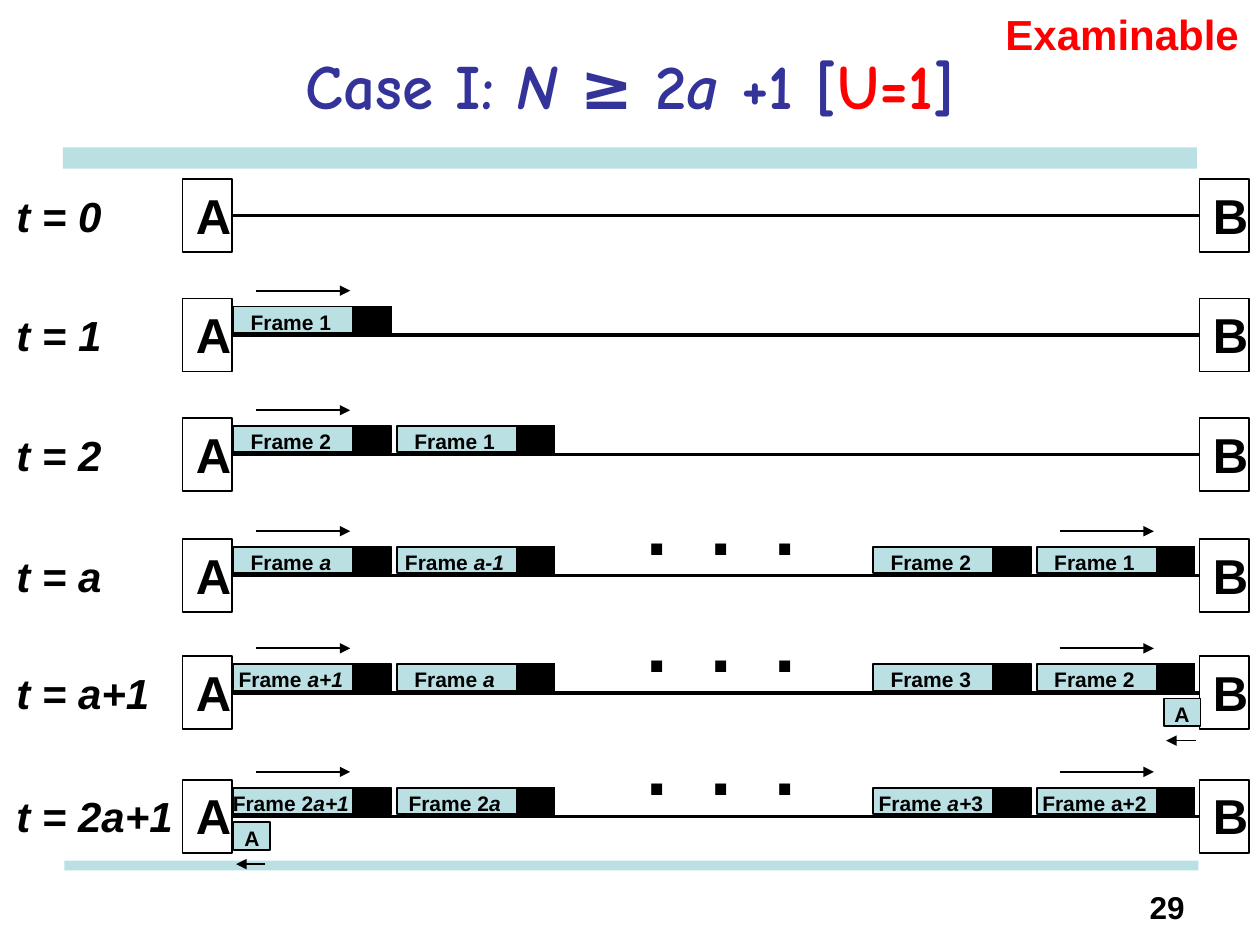
from lxml import etree
from pptx import Presentation
from pptx.dml.color import RGBColor
from pptx.enum.shapes import MSO_CONNECTOR, MSO_SHAPE
from pptx.enum.text import MSO_ANCHOR, PP_ALIGN
from pptx.oxml.ns import qn
from pptx.util import Cm, Pt

RECTANGLE, STRAIGHT = MSO_SHAPE.RECTANGLE, MSO_CONNECTOR.STRAIGHT
TOP, MIDDLE = MSO_ANCHOR.TOP, MSO_ANCHOR.MIDDLE
LEFT, CENTER, RIGHT = PP_ALIGN.LEFT, PP_ALIGN.CENTER, PP_ALIGN.RIGHT

BLACK = RGBColor(0x00, 0x00, 0x00)
RED = RGBColor(0xFF, 0x00, 0x00)
NAVY = RGBColor(0x33, 0x33, 0x99)
PALE_BLUE = RGBColor(0xBB, 0xE0, 0xE3)

# Horizontal layout in cm
NODE_A, NODE_B = 3.68, 24.18
NODE_WIDTH, NODE_HEIGHT = 1, 1.47
SLOTS = [4.7, 8, 17.6, 20.9]
FRAME_WIDTH, FRAME_HEIGHT, HEADER_WIDTH = 3.18, 0.53, 0.76

# Row top, time label, frames by slot (runs of text and italic), left of acknowledgement
ROWS = [
    (3.61, "t = 0", [], None),
    (6.02, "t = 1", [[("Frame 1", False)]], None),
    (8.43, "t = 2", [[("Frame 2", False)], [("Frame 1", False)]], None),
    (10.87, "t = a", [[("Frame ", False), ("a", True)],
                      [("Frame ", False), ("a-1", True)],
                      [("Frame 2", False)], [("Frame 1", False)]], None),
    (13.23, "t = a+1", [[("Frame ", False), ("a+1", True)],
                        [("Frame ", False), ("a", True)],
                        [("Frame 3", False)], [("Frame 2", False)]], 23.46),
    (15.72, "t = 2a+1", [[("Frame 2", False), ("a+1", True)],
                         [("Frame 2", False), ("a", True)],
                         [("Frame ", False), ("a+", True), ("3", False)],
                         [("Frame a+2", False)]], 4.71),
]


def add_runs(paragraph, runs, size, color=BLACK, font_name="Arial"):
    for text, italic in runs:
        run = paragraph.add_run()
        run.text = text
        font = run.font
        font.name, font.size, font.bold, font.italic = font_name, Pt(size), True, italic
        font.color.rgb = color


def fill_text(shape, runs, size, color=BLACK, align=LEFT, anchor=TOP):
    frame = shape.text_frame
    frame.word_wrap = True
    frame.vertical_anchor = anchor
    frame.paragraphs[0].alignment = align
    add_runs(frame.paragraphs[0], runs, size, color)
    return frame


def add_text(slide, left, top, width, height, text, size,
             color=BLACK, align=LEFT, italic=False):
    box = slide.shapes.add_textbox(Cm(left), Cm(top), Cm(width), Cm(height))
    return fill_text(box, [(text, italic)], size, color, align)


def add_box(slide, left, top, width, height, fill=None, outlined=True):
    shape = slide.shapes.add_shape(RECTANGLE, Cm(left), Cm(top), Cm(width), Cm(height))
    shape.shadow.inherit = False
    if fill is None:
        shape.fill.background()
    else:
        shape.fill.solid()
        shape.fill.fore_color.rgb = fill
    if outlined:
        shape.line.color.rgb = BLACK
        shape.line.width = Pt(1)
    else:
        shape.line.fill.background()
    return shape


def add_line(slide, start, end, y, width=1, arrow=True):
    line = slide.shapes.add_connector(STRAIGHT, Cm(start), Cm(y), Cm(end), Cm(y))
    line.line.color.rgb = BLACK
    line.line.width = Pt(width)
    if arrow:
        etree.SubElement(line.line._get_or_add_ln(), qn("a:tailEnd"), type="triangle")
    etree.SubElement(line._element.spPr, qn("a:effectLst"))
    return line


def add_node(slide, left, top, name):
    node = add_box(slide, left, top, NODE_WIDTH, NODE_HEIGHT)
    frame = fill_text(node, [(name, False)], 28, align=CENTER)
    frame.margin_right = 0
    return node


def add_frame(slide, left, top, runs):
    """A data frame with its label and black header."""
    body = add_box(slide, left, top, FRAME_WIDTH, FRAME_HEIGHT, PALE_BLUE)
    text_frame = fill_text(body, runs, 12, align=CENTER, anchor=MIDDLE)
    text_frame.word_wrap = False
    text_frame.margin_left = text_frame.margin_bottom = 0
    text_frame.margin_top, text_frame.margin_right = Cm(0.08), Cm(0.85)
    add_box(slide, left + FRAME_WIDTH - HEADER_WIDTH, top,
            HEADER_WIDTH, FRAME_HEIGHT, BLACK)


def add_acknowledgement(slide, left, top):
    box = add_box(slide, left, top, 0.74, 0.56, PALE_BLUE)
    frame = fill_text(box, [("A", False)], 12, align=CENTER, anchor=MIDDLE)
    frame.margin_left = frame.margin_right = frame.margin_bottom = 0
    frame.margin_top = Cm(0.08)
    add_line(slide, left + 0.64, left + 0.05, top + 0.85)


def add_time_row(slide, top, label, frames, acknowledgement):
    # Time label, both stations and the link between them
    add_text(slide, 0.08, top + 0.1, 3.66, 1.27, label, 24,
             italic=True).margin_right = 0
    node_a = add_node(slide, NODE_A, top, "A")
    node_b = add_node(slide, NODE_B, top, "B")
    link = add_line(slide, NODE_A + NODE_WIDTH, NODE_B, top + NODE_HEIGHT / 2,
                    width=2, arrow=False)
    link.begin_connect(node_a, 3)
    link.end_connect(node_b, 1)

    # Frames on the link, with arrows over the first and the last slot
    for index, (left, runs) in enumerate(zip(SLOTS, frames)):
        add_frame(slide, left, top + 0.16, runs)
        if index in (0, len(SLOTS) - 1):
            add_line(slide, left + 0.46, left + 2.36, top - 0.16)
    if len(frames) == len(SLOTS):
        add_text(slide, 12.78, top - 1.35, 4.88, 2.1, ".  .  .", 44)
    if acknowledgement is not None:
        add_acknowledgement(slide, acknowledgement, top + 0.85)


def add_title(slide, left, top, width, height):
    title = slide.shapes.title
    title.left, title.top = Cm(left), Cm(top)
    title.width, title.height = Cm(width), Cm(height)
    title.text_frame.vertical_anchor = MIDDLE
    paragraph = title.text_frame.paragraphs[0]
    paragraph.alignment = CENTER
    parts = [
        ([("Case I: ", False), ("N ", True), ("≥ 2", False),
          ("a", True), (" +1 [", False)], NAVY),
        ([("U=1", False)], RED),
        ([("]", False)], NAVY),
    ]
    for runs, color in parts:
        add_runs(paragraph, runs, 36, color, "Comic Neue")


def main():
    presentation = Presentation()
    presentation.slide_width, presentation.slide_height = Cm(25.4), Cm(19.05)
    slide = presentation.slides.add_slide(presentation.slide_layouts[5])

    # Bars above and below the diagram
    for left, top, height in [(1.27, 2.97, 0.43), (1.3, 17.35, 0.2)]:
        add_box(slide, left, top, 22.86, height, PALE_BLUE, outlined=False)

    # Title, page number and remark
    add_title(slide, 1.27, 0.43, 22.86, 2.54)
    add_text(slide, 22.43, 17.78, 1.7, 1.07, "29", 18, align=RIGHT)
    add_text(slide, 20.02, 0.05, 5.38, 1.27, "Examinable", 24, RED)

    # Timeline
    for row in ROWS:
        add_time_row(slide, *row)

    presentation.save("out.pptx")


if __name__ == "__main__":
    main()
